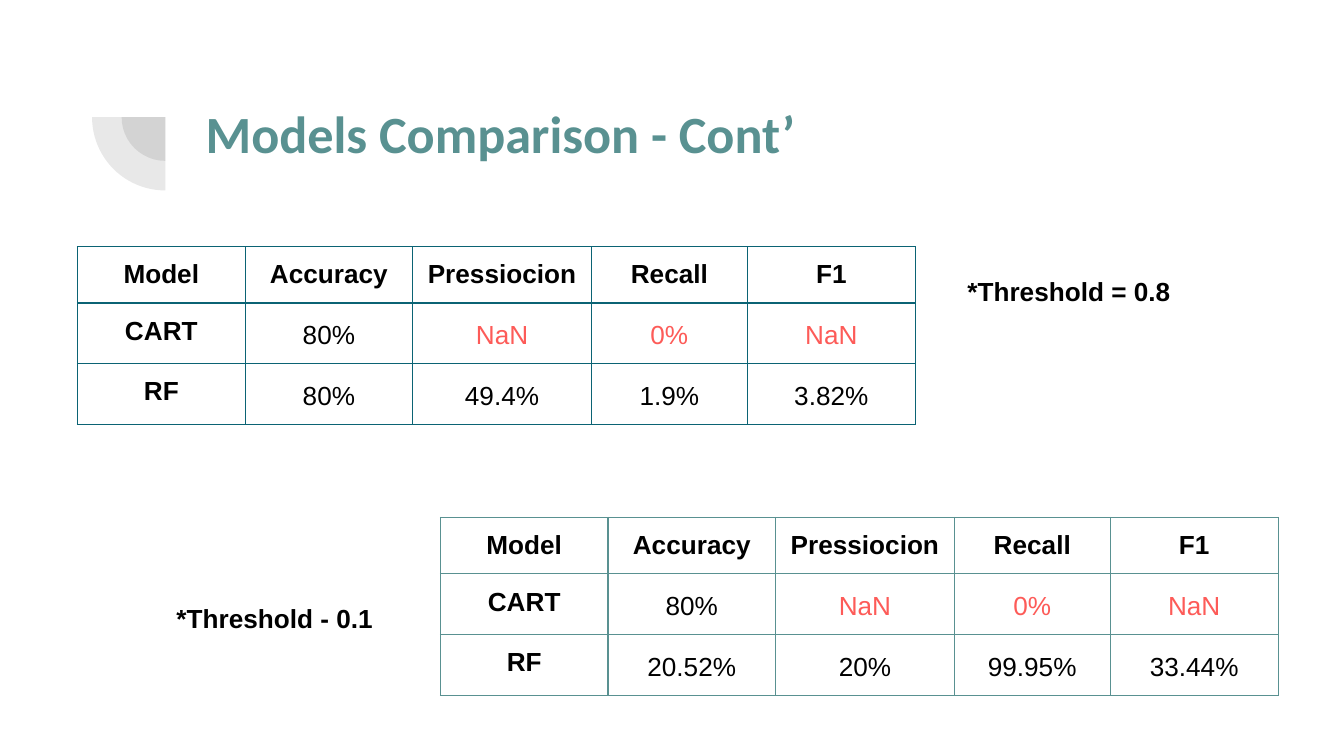
from lxml import etree
from pptx import Presentation
from pptx.dml.color import RGBColor
from pptx.enum.shapes import MSO_SHAPE
from pptx.enum.text import MSO_ANCHOR, MSO_AUTO_SIZE, PP_ALIGN
from pptx.oxml.ns import qn
from pptx.util import Inches, Pt

PIE = MSO_SHAPE.PIE
TOP = MSO_ANCHOR.TOP
FIXED = MSO_AUTO_SIZE.NONE
LEFT, MID = PP_ALIGN.LEFT, PP_ALIGN.CENTER

THEME = {
    "head": ("Calibri", 28, "599191", True),
    "bold": ("Arial", 14, "000000", True),
    "body": ("Arial", 14, "000000", False),
    "alert": ("Arial", 14, "FD5B58", False),
    "pie": "424242",
    "dark": "0B6374",
    "light": "599191",
}

# A 16:9 slide
deck = Presentation()
deck.slide_width = Inches(10)
deck.slide_height = deck.slide_width * 9 // 16
slide = deck.slides.add_slide(deck.slide_layouts[5])
shapes = slide.shapes
UNIT = deck.slide_width / 100  # square grid, 100 columns across
PAD = int(UNIT)


def grid(*spans):
    return [round(span * UNIT) for span in spans]


def write(frame, text, style, align=LEFT):
    face, size, color, bold = THEME[style]
    para = frame.paragraphs[0]
    para.alignment = align
    run = para.add_run()
    run.text = text
    run.font.name, run.font.size, run.font.bold = face, Pt(size), bold
    run.font.color.rgb = RGBColor.from_string(color)
    return para


# Title
title = shapes.title
title.left, title.top, title.width, title.height = grid(14.3, 6.5, 76.9, 10.9)
frames = [title.text_frame]
write(title.text_frame, "Models Comparison - Cont’", "head")

# Quarter pies around one centre
for side in (6.5, 10.9):
    pie = shapes.add_shape(PIE, *grid(12.3 - side / 2, 8.72 - side / 2, side, side))
    pie.adjustments[0], pie.adjustments[1] = 107.93, 162
    pie.rotation = 270
    pie.shadow.inherit = False
    pie.line.fill.background()
    pie.fill.solid()
    pie.fill.fore_color.rgb = RGBColor.from_string(THEME["pie"])
    tint = pie.fill._xPr.find(".//" + qn("a:srgbClr"))
    etree.SubElement(tint, qn("a:alpha"), val="12000")

# Score tables
COLS = grid(12.47, 12.47, 13.3, 11.6, 12.5)
ROW = grid(4.2)[0]
HEAD = ["Model", "Accuracy", "Pressiocion", "Recall", "F1"]
CART = ["CART", "80%", "NaN", "0%", "NaN"]
TABLES = [
    (5.77, 18.35, "dark", ["RF", "80%", "49.4%", "1.9%", "3.82%"]),
    (32.77, 38.5, "light", ["RF", "20.52%", "20%", "99.95%", "33.44%"]),
]
for x, y, edge, forest in TABLES:
    rows = [HEAD, CART, forest]
    table = shapes.add_table(
        len(rows), len(COLS), *grid(x, y), sum(COLS), ROW * len(rows)
    ).table
    table.first_row = table.horz_banding = False
    for col, width in zip(table.columns, COLS):
        col.width = width
    for r, row in enumerate(rows):
        table.rows[r].height = ROW
        for c, text in enumerate(row):
            cell = table.cell(r, c)
            cell.margin_left = cell.margin_right = PAD
            cell.margin_top = cell.margin_bottom = PAD
            label = r == 0 or c == 0
            alert = text in ("NaN", "0%")
            style = "bold" if label else "alert" if alert else "body"
            para = write(cell.text_frame, text, style, MID)
            if not label:
                para.line_spacing = 1.15
            # Cell borders
            props = cell._tc.get_or_add_tcPr()
            for tag in ("a:lnL", "a:lnR", "a:lnT", "a:lnB"):
                line = etree.SubElement(props, qn(tag), w=str(Pt(0.75)))
                fill = etree.SubElement(line, qn("a:solidFill"))
                etree.SubElement(fill, qn("a:srgbClr"), val=THEME[edge])
            cell.fill.background()

# Threshold notes
for x, y, text in [(71, 19.5, "*Threshold = 0.8"), (12.15, 43.85, "*Threshold - 0.1")]:
    note = shapes.add_textbox(*grid(x, y, 18.6, 5.2))
    frames.append(note.text_frame)
    write(note.text_frame, text, "bold")

# Shared text box layout
for frame in frames:
    frame.word_wrap = True
    frame.auto_size = FIXED
    frame.vertical_anchor = TOP
    frame.margin_left = frame.margin_right = PAD
    frame.margin_top = frame.margin_bottom = PAD

deck.save("out.pptx")
